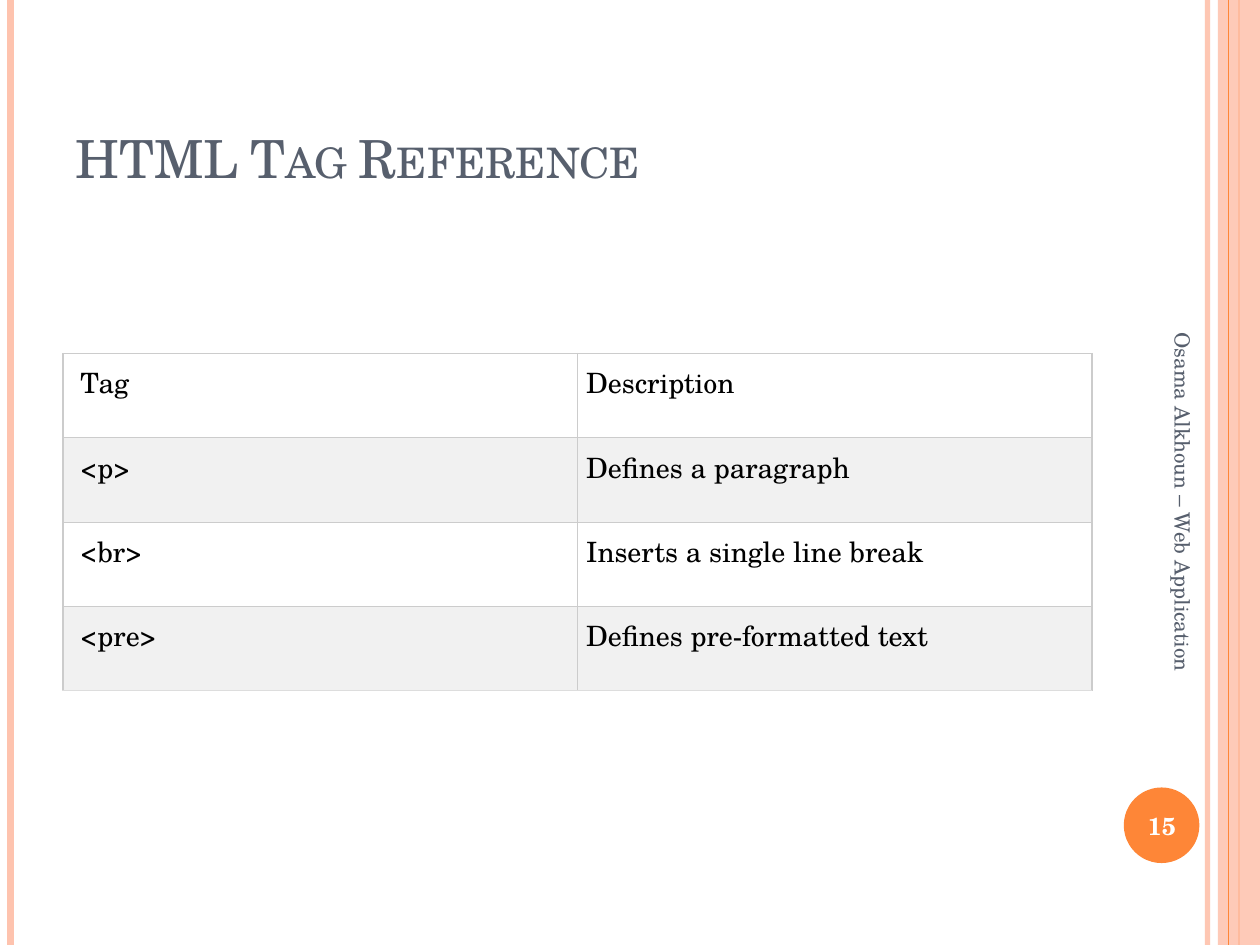
from dataclasses import dataclass

from lxml import etree
from pptx import Presentation
from pptx.dml.color import RGBColor
from pptx.enum.shapes import MSO_CONNECTOR, MSO_SHAPE
from pptx.enum.text import MSO_ANCHOR, PP_ALIGN
from pptx.oxml.ns import qn
from pptx.util import Pt

STRAIGHT = MSO_CONNECTOR.STRAIGHT
OVAL, RECT = MSO_SHAPE.OVAL, MSO_SHAPE.RECTANGLE
LEFT, CENTER = PP_ALIGN.LEFT, PP_ALIGN.CENTER
MIDDLE, BOTTOM = MSO_ANCHOR.MIDDLE, MSO_ANCHOR.BOTTOM
WIDE, HIGH = 720, 540


@dataclass(frozen=True)
class Theme:
    face: str = "TeX Gyre Schola"
    slate: str = "575F6D"
    black: str = "000000"
    white: str = "FFFFFF"
    gray: str = "F1F1F1"
    rule: str = "CCCCCC"
    base: str = "DDDDDD"
    orange: str = "FE8637"
    peach: str = "FEC3AE"
    title: float = 30
    body: float = 16
    badge: float = 14
    foot: float = 12


@dataclass(frozen=True)
class Box:
    left: float
    top: float
    width: float
    height: float

    def points(self) -> tuple:
        return Pt(self.left), Pt(self.top), Pt(self.width), Pt(self.height)


@dataclass(frozen=True)
class Stripe:
    x: float
    width: float
    color: str
    alpha: int = 100


THEME = Theme()
UNDER = (
    Stripe(690, 3, THEME.peach, 93),
    Stripe(6, 4.5, THEME.peach),
    Stripe(708, 1.5, THEME.orange),
)
OVER = Stripe(702, 0.75, THEME.orange)
ROWS = (
    ("Tag", "Description"),
    ("<p>", "Defines a paragraph"),
    ("<br>", "Inserts a single line break"),
    ("<pre>", "Defines pre-formatted text"),
)


def paint(fill, color: str, alpha: int = 100) -> None:
    fill.solid()
    fill.fore_color.rgb = RGBColor.from_string(color)
    if alpha < 100:
        tint = fill._xPr.find(".//" + qn("a:srgbClr"))
        etree.SubElement(tint, qn("a:alpha"), val=str(alpha * 1000))


def draw_stripe(slide, stripe: Stripe) -> None:
    x = Pt(stripe.x)
    line = slide.shapes.add_connector(STRAIGHT, x, 0, x, Pt(HIGH))
    line.line.width = Pt(stripe.width)
    paint(line.line.fill, stripe.color, stripe.alpha)
    etree.SubElement(line._element.spPr, qn("a:effectLst"))


def draw_shape(slide, kind, box: Box, color: str, alpha: int = 100) -> None:
    shape = slide.shapes.add_shape(kind, *box.points())
    shape.shadow.inherit = False
    shape.line.fill.background()
    paint(shape.fill, color, alpha)


def write(frame, text: str, size: float, color: str, align=LEFT, bold: bool = False):
    frame.text = text
    frame.word_wrap = True
    para = frame.paragraphs[0]
    para.alignment = align
    font = para.font
    font.name, font.size, font.bold = THEME.face, Pt(size), bold
    font.color.rgb = RGBColor.from_string(color)
    return para


def draw_title(slide, text: str, box: Box) -> None:
    title = slide.shapes.title
    title.left, title.top, title.width, title.height = box.points()
    para = write(title.text_frame, text, THEME.title, THEME.slate)
    title.text_frame.vertical_anchor = BOTTOM
    para._p.pPr.find(qn("a:defRPr")).set("cap", "small")


def draw_text(slide, text: str, box: Box, size: float, color: str,
              align=LEFT, bold: bool = False, turn: float = 0) -> None:
    label = slide.shapes.add_textbox(*box.points())
    label.rotation = turn
    write(label.text_frame, text, size, color, align, bold)
    label.text_frame.vertical_anchor = MIDDLE


def edge(cell, side: str, color: str) -> None:
    props = cell._tc.get_or_add_tcPr()
    line = etree.SubElement(props, qn("a:" + side), w=str(Pt(0.75)))
    fill = etree.SubElement(line, qn("a:solidFill"))
    etree.SubElement(fill, qn("a:srgbClr"), val=color)


def draw_table(slide, rows: tuple, box: Box) -> None:
    table = slide.shapes.add_table(len(rows), len(rows[0]), *box.points()).table
    table.first_row = table.horz_banding = False
    for r, row in enumerate(rows):
        table.rows[r].height = Pt(box.height / len(rows))
        last = r == len(rows) - 1
        for c, text in enumerate(row):
            cell = table.cell(r, c)
            cell.margin_left = Pt(5 if c else 10)
            cell.margin_top = cell.margin_right = cell.margin_bottom = Pt(5)
            write(cell.text_frame, text, THEME.body, THEME.black)
            for side in ("lnL", "lnR", "lnT"):
                edge(cell, side, THEME.rule)
            edge(cell, "lnB", THEME.base if last else THEME.rule)
            paint(cell.fill, THEME.gray if r % 2 else THEME.white)


def main() -> None:
    deck = Presentation()
    deck.slide_width, deck.slide_height = Pt(WIDE), Pt(HIGH)
    slide = deck.slides.add_slide(deck.slide_layouts[5])
    paint(slide.background.fill, THEME.white)
    draw_shape(slide, OVAL, Box(642.2, 450, 43.2, 43.2), THEME.orange)
    for stripe in UNDER:
        draw_stripe(slide, stripe)
    draw_shape(slide, RECT, Box(696, 0, 24, HIGH), THEME.peach, 87)
    draw_stripe(slide, OVER)
    draw_title(slide, "HTML Tag Reference", Box(36, 21.6, 588, 90))
    draw_table(slide, ROWS, Box(36, 202, 588, 192.8))
    draw_text(slide, "15", Box(640, 451.4, 48, 41), THEME.badge, THEME.white,
              CENTER, bold=True)
    draw_text(slide, "Osama Alkhoun – Web Application", Box(550, 294.5, 252, 28.8),
              THEME.foot, THEME.slate, turn=90)
    deck.save("out.pptx")


if __name__ == "__main__":
    main()
